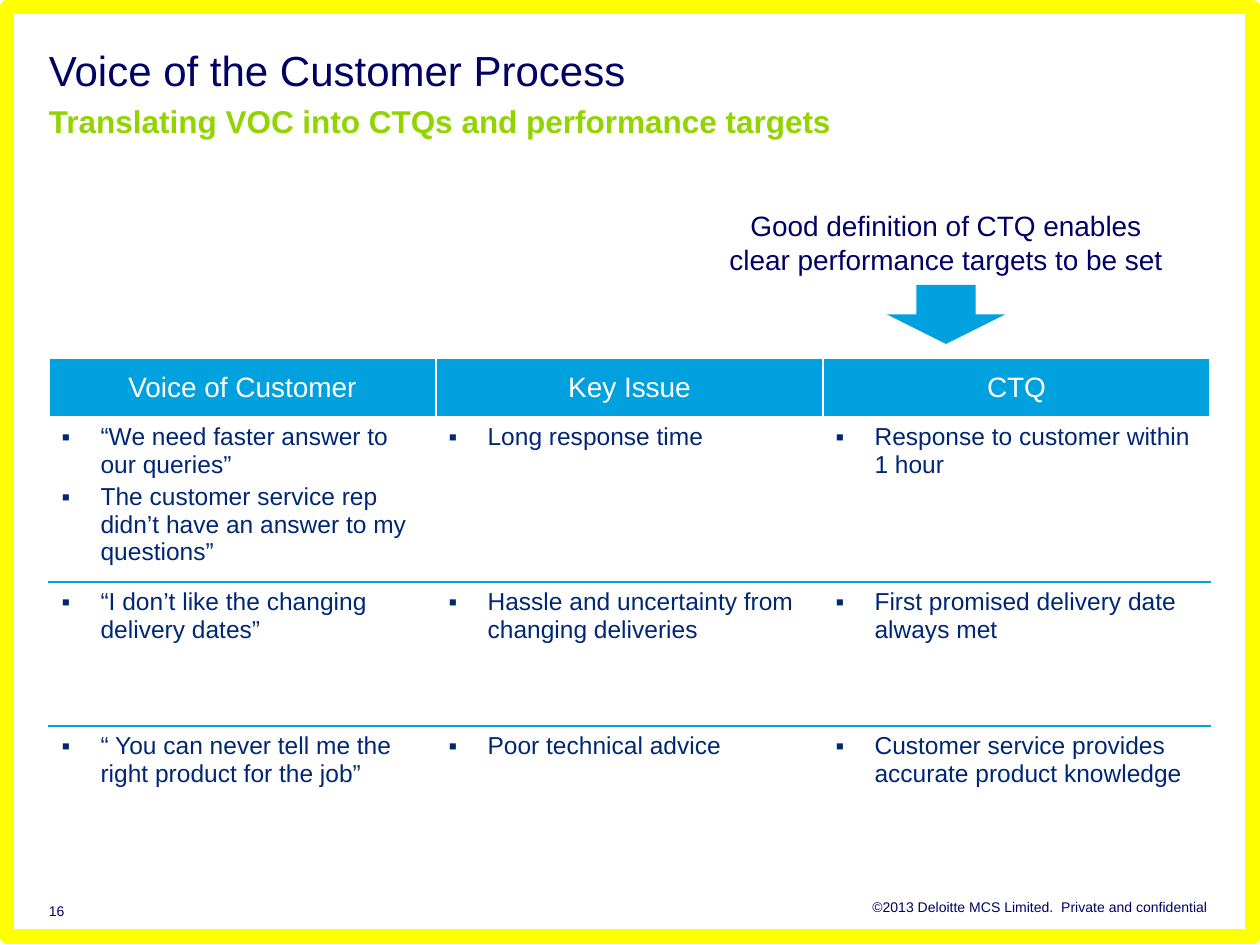
import pptx
import pptx.dml.color
import pptx.enum.shapes
import pptx.enum.text
import pptx.oxml
import pptx.oxml.ns
import pptx.util

PX = 914400 / 126  # EMU in one px
THEME = {
    "font": "Arial",
    "navy": "000066", "ink": "002776", "blue": "00A1DE",
    "green": "92D400", "yellow": "FFFF00", "white": "FFFFFF",
    "title": 24, "subtitle": 18, "heading": 16, "body": 14, "footer": 8,
}
Align = pptx.enum.text.PP_ALIGN
Anchor = pptx.enum.text.MSO_ANCHOR
Shape = pptx.enum.shapes.MSO_SHAPE
rgb = pptx.dml.color.RGBColor.from_string


def px(*lengths):
    return [round(length * PX) for length in lengths]


def add_span(para, text, size, color, bold=False):
    span = para.add_run()
    span.text = text
    span.font.name = THEME["font"]
    span.font.size = pptx.util.Pt(THEME[size])
    span.font.bold = bold
    span.font.color.rgb = rgb(THEME[color])


deck = pptx.Presentation()
deck.slide_width, deck.slide_height = px(1260, 945)
page = deck.slides.add_slide(deck.slide_layouts[6])

# Title, callout and footer: place, inset, alignment, anchor, lines
texts = [
    ((49, 49, 1160, 87), (0, 0), Align.LEFT, Anchor.TOP,
     [("Voice of the Customer Process ", "title", "navy", False),
      ("Translating VOC into CTQs and performance targets", "subtitle", "green", True)]),
    ((714, 203, 464, 81), (13, 6), Align.CENTER, Anchor.TOP,
     [("Good definition of CTQ enables clear performance targets to be set",
       "heading", "navy", False)]),
    ((428, 898, 780, 17), (0, 0), Align.RIGHT, Anchor.TOP,
     [("©2013 Deloitte MCS Limited.  Private and confidential", "footer", "navy", False)]),
    ((49, 902, 49, 17), (0, 0), Align.LEFT, Anchor.BOTTOM,
     [("16", "footer", "navy", False)]),
]
for place, inset, align, anchor, lines in texts:
    frame = page.shapes.add_textbox(*px(*place)).text_frame
    frame.word_wrap = True
    frame.vertical_anchor = anchor
    frame.margin_left, frame.margin_top = px(*inset)
    frame.margin_right, frame.margin_bottom = px(*inset)
    para = frame.paragraphs[0]
    para.alignment = align
    if len(lines) > 1:
        para.line_spacing = pptx.util.Pt(26)
    for number, line in enumerate(lines):
        if number:
            para.add_line_break()
        add_span(para, *line)

# Table: each cell is a list of paragraphs, the first row holds headings
rows = [
    [["Voice of Customer"], ["Key Issue"], ["CTQ"]],
    [["“We need faster answer to our queries”",
      "The customer service rep didn’t have an answer to my questions”"],
     ["Long response time"],
     ["Response to customer within 1 hour"]],
    [["“I don’t like the changing delivery dates”"],
     ["Hassle and uncertainty from changing deliveries"],
     ["First promised delivery date always met"]],
    [["“ You can never tell me the right product for the job”"],
     ["Poor technical advice"],
     ["Customer service provides accurate product knowledge"]],
]
row_heights = px(59, 165, 144, 144)
table = page.shapes.add_table(len(rows), 3, *px(49, 358, 1161, 512)).table
table.first_row = table.horz_banding = False
for column in table.columns:
    column.width = px(387)[0]

for r, row in enumerate(rows):
    table.rows[r].height = row_heights[r]
    top = "blue" if r > 1 else "white"
    bottom = "blue" if 0 < r < len(rows) - 1 else "white"
    for c, paragraphs in enumerate(row):
        cell = table.cell(r, c)
        properties = cell._tc.get_or_add_tcPr()
        for side, color in (("L", "white"), ("R", "white"), ("T", top), ("B", bottom)):
            properties.append(pptx.oxml.parse_xml(
                f'<a:ln{side} {pptx.oxml.ns.nsdecls("a")} w="12700"><a:solidFill>'
                f'<a:srgbClr val="{THEME[color]}"/></a:solidFill></a:ln{side}>'))
        if r == 0:
            cell.fill.solid()
            cell.fill.fore_color.rgb = rgb(THEME["blue"])
            cell.vertical_anchor = Anchor.MIDDLE
        else:
            cell.fill.background()
        for p, text in enumerate(paragraphs):
            para = cell.text_frame.add_paragraph() if p else cell.text_frame.paragraphs[0]
            if r == 0:
                para.alignment = Align.CENTER
                add_span(para, text, "heading", "white")
                continue
            indent = px(39)[0]
            bullet = para._p.get_or_add_pPr()
            bullet.set("marL", str(indent))
            bullet.set("indent", str(-indent))
            for tag in ('buFont typeface="Arial"', 'buChar char="▪"'):
                bullet.append(pptx.oxml.parse_xml(f'<a:{tag} {pptx.oxml.ns.nsdecls("a")}/>'))
            if p:
                para.space_before = pptx.util.Pt(3)
            add_span(para, text, "body", "ink")

arrow = page.shapes.add_shape(Shape.DOWN_ARROW, *px(887, 285, 118, 59))
arrow.shadow.inherit = False
arrow.fill.solid()
arrow.fill.fore_color.rgb = rgb(THEME["blue"])
arrow.line.fill.background()

border = page.shapes.add_shape(Shape.RECTANGLE, *px(7, 7, 1246, 930))
border.shadow.inherit = False
border.fill.background()
border.line.color.rgb = rgb(THEME["yellow"])
border.line.width = pptx.util.Pt(8.5)

deck.save("out.pptx")
